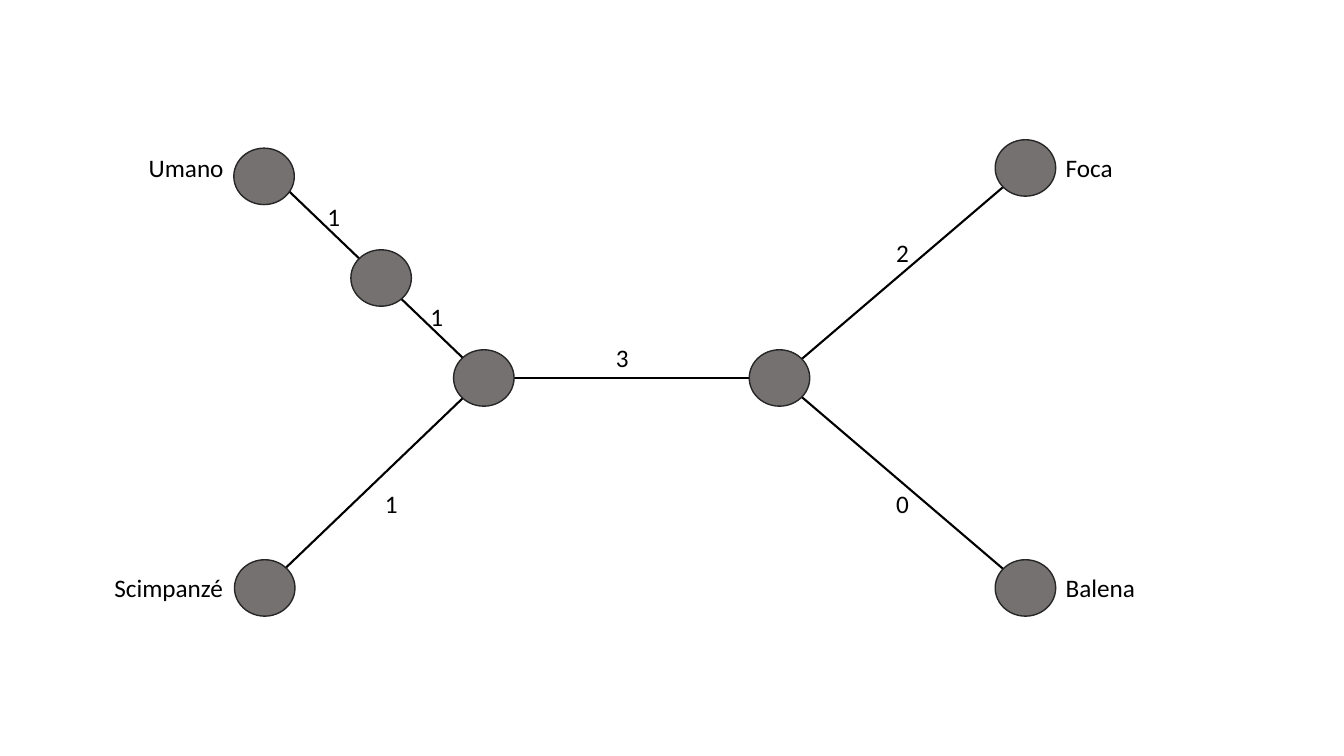
from lxml.etree import SubElement
from pptx import Presentation
from pptx.dml.color import RGBColor
from pptx.enum.shapes import MSO_CONNECTOR as Link, MSO_SHAPE as Form
from pptx.enum.text import MSO_AUTO_SIZE as Fit, PP_ALIGN as Align
from pptx.oxml.ns import qn
from pptx.util import Inches, Pt

WIDE, HIGH = Inches(13.33), Inches(7.5)
COLS, ROWS = 100, 18
NODE_W, NODE_H = Inches(0.6), Inches(0.56)
TEXT_H = Inches(0.4)

# Tree joints as (column, row)
HUMAN, CHIMP = (19.7, 4), (19.7, 14)
LEFT, RIGHT = (36, 9), (58, 9)
SEAL, WHALE = (76.3, 4), (76.3, 14)
EDGES = [(RIGHT, WHALE), (SEAL, RIGHT), (LEFT, RIGHT),
         (HUMAN, LEFT), (CHIMP, LEFT)]
NODES = [(28.36, 6.62), CHIMP, RIGHT, WHALE, LEFT, SEAL, (19.65, 4.2)]

# Species: name, joint, text width, side of the joint
NAMES = [("Umano", HUMAN, 0.95, -1), ("Scimpanzé", CHIMP, 1.29, -1),
         ("Foca", SEAL, 0.67, 1), ("Balena", WHALE, 0.9, 1)]

# Changes counted along each branch
COUNTS = [("1", (32.52, 7.54)), ("1", (29.14, 11.98)), ("3", (46.32, 8.52)),
          ("2", (67.18, 6.02)), ("0", (67.18, 11.98)), ("1", (24.87, 5.16))]


def color(code):
    return RGBColor.from_string(code)


def place(spot):
    col, row = spot
    return round(WIDE * col / COLS), round(HIGH * row / ROWS)


def frame(mid, wide, high):
    """Left, top, width and height of a box centred on mid."""
    return mid[0] - wide // 2, mid[1] - high // 2, wide, high


def stroke(line, code, size):
    line.color.rgb = color(code)
    line.width = Pt(size)


def add_edge(slide, start, end):
    edge = slide.shapes.add_connector(Link.STRAIGHT, *place(start), *place(end))
    stroke(edge.line, "000000", 1.5)
    SubElement(edge._element.spPr, qn("a:effectLst"))


def add_node(slide, spot):
    node = slide.shapes.add_shape(Form.OVAL, *frame(place(spot), NODE_W, NODE_H))
    node.shadow.inherit = False
    node.fill.solid()
    node.fill.fore_color.rgb = color("767171")
    stroke(node.line, "262626", 1)


def add_text(slide, text, mid, wide):
    box = slide.shapes.add_textbox(*frame(mid, wide, TEXT_H))
    body = box.text_frame
    body.text = text
    body.word_wrap = False
    body.auto_size = Fit.SHAPE_TO_FIT_TEXT
    para = body.paragraphs[0]
    para.alignment = Align.LEFT
    font = para.runs[0].font
    font.name, font.size = "Calibri", Pt(18)
    font.color.rgb = color("000000")


def add_name(slide, text, spot, wide, side):
    x, y = place(spot)
    wide = Inches(wide)
    add_text(slide, text, (x + side * (NODE_W + wide) // 2, y), wide)


def main():
    deck = Presentation()
    deck.slide_width, deck.slide_height = WIDE, HIGH
    slide = deck.slides.add_slide(deck.slide_layouts[6])

    # Branches lie behind the nodes
    for start, end in EDGES:
        add_edge(slide, start, end)
    for spot in NODES:
        add_node(slide, spot)

    # Species and branch counts
    for name in NAMES:
        add_name(slide, *name)
    for text, spot in COUNTS:
        add_text(slide, text, place(spot), Inches(0.33))

    deck.save("out.pptx")


main()
